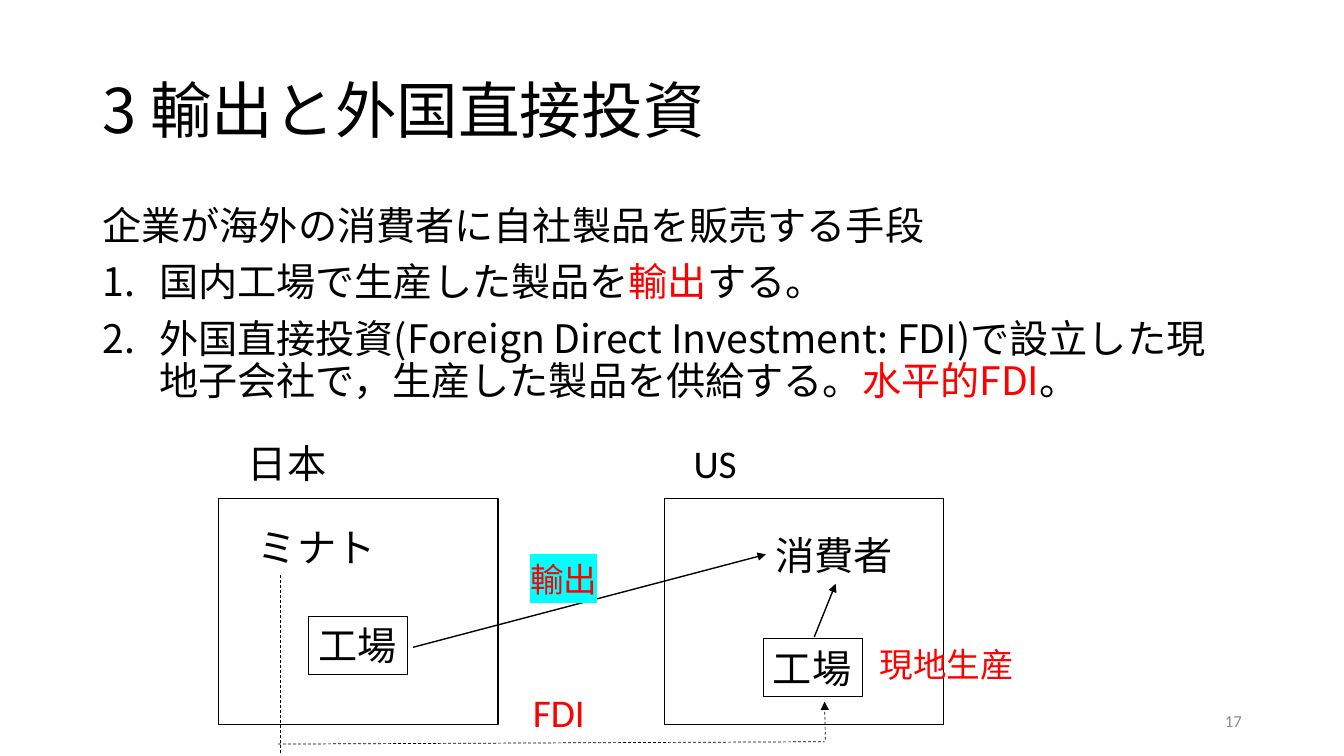
"""Build the slide on exporting versus foreign direct investment."""
from dataclasses import dataclass

from lxml import etree
from pptx import Presentation
from pptx.dml.color import RGBColor
from pptx.enum.dml import MSO_LINE
from pptx.enum.shapes import MSO_CONNECTOR, MSO_SHAPE
from pptx.enum.text import MSO_ANCHOR, MSO_AUTO_SIZE, PP_ALIGN
from pptx.oxml.ns import qn
from pptx.util import Cm, Pt

RECTANGLE = MSO_SHAPE.RECTANGLE
STRAIGHT = MSO_CONNECTOR.STRAIGHT
DASH = MSO_LINE.DASH
TOP, MIDDLE = MSO_ANCHOR.TOP, MSO_ANCHOR.MIDDLE
LEFT, RIGHT = PP_ALIGN.LEFT, PP_ALIGN.RIGHT
FIT_SHAPE, NO_FIT = MSO_AUTO_SIZE.SHAPE_TO_FIT_TEXT, MSO_AUTO_SIZE.NONE


@dataclass(frozen=True)
class Theme:
    ink: str = "000000"
    accent: str = "FF0000"
    marker: str = "00FFFF"
    muted: str = "8C8C8C"
    latin: str = "Calibri"
    japanese: str = "Noto Sans CJK JP"
    title: int = 44
    body: int = 28
    note: int = 24
    page: int = 12


THEME = Theme()

TITLE = "3 輸出と外国直接投資"
INTRO = "企業が海外の消費者に自社製品を販売する手段"
METHODS = [
    [("国内工場で生産した製品を", THEME.ink), ("輸出", THEME.accent), ("する。", THEME.ink)],
    [("外国直接投資(Foreign Direct Investment: FDI)で設立した現地子会社で，生産した製品を供給する。", THEME.ink),
     ("水平的FDI", THEME.accent), ("。", THEME.ink)],
]
PAGE = "17"

COUNTRIES = [("日本", 5.51, 2.51), ("US", 16.74, 1.6)]
COUNTRY_TOP, COUNTRY_WIDTH, COUNTRY_HEIGHT = 12.57, 7.04, 5.69
LABEL_INDENT, LABEL_RISE, LABEL_HEIGHT = 0.49, 1.62, 1.45

ACTORS = [("ミナト", 6.25, 13.06), ("消費者", 19.3, 13.26)]
ACTOR_WIDTH = 3.51
FACTORIES = [("工場", 7.77, 15.54), ("工場", 19.23, 16.1)]
FACTORY_WIDTH = 2.51
FLOW_LABELS = [
    ("輸出", (13.11, 13.97, 2.24, 1.27), THEME.note, THEME.marker),
    ("FDI", (13.18, 17.22, 1.83, 1.45), THEME.body, None),
    ("現地生産", (21.92, 16.1, 3.94, 1.27), THEME.note, None),
]
GOODS_FLOWS = [((10.41, 16.31), (19.3, 13.97)), ((20.52, 16.05), (21.06, 14.71))]
INVESTMENT_PATH = [
    ((7.06, 14.5), (7.06, 18.97), False),
    ((7.01, 18.75), (20.78, 18.69), False),
    ((20.8, 18.64), (20.78, 17.68), True),
]


def rgb(code):
    return RGBColor.from_string(code)


def add_run(paragraph, text, size, color, font, highlight):
    run = paragraph.add_run()
    run.text = text
    run.font.size = Pt(size)
    run.font.color.rgb = rgb(color)
    properties = run.font._element
    if highlight:
        marker = etree.SubElement(properties, qn("a:highlight"))
        etree.SubElement(marker, qn("a:srgbClr"), val=highlight)
    run.font.name = font
    etree.SubElement(properties, qn("a:ea"), typeface=THEME.japanese)


def add_text(slide, text, box, *, size=THEME.body, color=THEME.ink, font=THEME.latin,
             anchor=TOP, align=LEFT, wrap=False, highlight=None, border=None,
             spacing=None, before=None):
    """Add a text box; text is a string or a list of paragraphs made of (text, color) runs."""
    holder = slide.shapes.add_textbox(*map(Cm, box))
    frame = holder.text_frame
    frame.word_wrap = wrap
    frame.auto_size = NO_FIT if wrap else FIT_SHAPE
    frame.vertical_anchor = anchor
    if border:
        holder.line.color.rgb = rgb(THEME.ink)
        holder.line.width = Pt(border)
    paragraphs = [[(text, color)]] if isinstance(text, str) else text
    for index, runs in enumerate(paragraphs):
        paragraph = frame.add_paragraph() if index else frame.paragraphs[0]
        paragraph.alignment = align
        if spacing:
            paragraph.line_spacing = spacing
        if before:
            paragraph.space_before = Pt(before)
        for words, run_color in runs:
            add_run(paragraph, words, size, run_color, font, highlight)
    return frame


def number(paragraph):
    properties = paragraph._p.get_or_add_pPr()
    hang = Cm(1.43)
    properties.set("marL", str(hang))
    properties.set("indent", str(-hang))
    etree.SubElement(properties, qn("a:buFont"), typeface=THEME.japanese)
    etree.SubElement(properties, qn("a:buAutoNum"), type="arabicPeriod")


def add_line(slide, start, end, width, arrow=True, dash=None):
    connector = slide.shapes.add_connector(STRAIGHT, *map(Cm, start + end))
    connector.line.color.rgb = rgb(THEME.ink)
    connector.line.width = Pt(width)
    if dash:
        connector.line.dash_style = dash
    if arrow:
        etree.SubElement(connector.line._get_or_add_ln(), qn("a:tailEnd"), type="triangle")
    etree.SubElement(connector._element.spPr, qn("a:effectLst"))


def add_country(slide, name, left, label_width):
    territory = slide.shapes.add_shape(
        RECTANGLE, *map(Cm, (left, COUNTRY_TOP, COUNTRY_WIDTH, COUNTRY_HEIGHT)))
    territory.shadow.inherit = False
    territory.fill.background()
    territory.line.color.rgb = rgb(THEME.ink)
    territory.line.width = Pt(1)
    add_text(slide, name, (left + LABEL_INDENT, COUNTRY_TOP - LABEL_RISE, label_width, LABEL_HEIGHT))


def main():
    deck = Presentation()
    deck.slide_width, deck.slide_height = Cm(33.87), Cm(19.05)
    slide = deck.slides.add_slide(deck.slide_layouts[6])

    add_text(slide, TITLE, (2.33, 1.02, 29.21, 3.68), size=THEME.title,
             font=THEME.japanese, anchor=MIDDLE, wrap=True, spacing=0.9)
    body = add_text(slide, [[(INTRO, THEME.ink)], *METHODS], (2.33, 5.08, 29.21, 12.09),
                    font=THEME.japanese, wrap=True, spacing=0.9, before=10)
    for method in body.paragraphs[1:]:
        number(method)
    add_text(slide, PAGE, (23.93, 17.65, 7.62, 1.02), size=THEME.page,
             color=THEME.muted, anchor=MIDDLE, align=RIGHT, wrap=True)

    for country in COUNTRIES:
        add_country(slide, *country)
    for start, end in GOODS_FLOWS:
        add_line(slide, start, end, 1)
    for start, end, arrow in INVESTMENT_PATH:
        add_line(slide, start, end, 0.5, arrow, DASH)
    for name, left, top in ACTORS:
        add_text(slide, name, (left, top, ACTOR_WIDTH, LABEL_HEIGHT))
    for name, left, top in FACTORIES:
        add_text(slide, name, (left, top, FACTORY_WIDTH, LABEL_HEIGHT), border=0.75)
    for name, box, size, highlight in FLOW_LABELS:
        add_text(slide, name, box, size=size, color=THEME.accent, highlight=highlight)

    deck.save("out.pptx")


if __name__ == "__main__":
    main()
